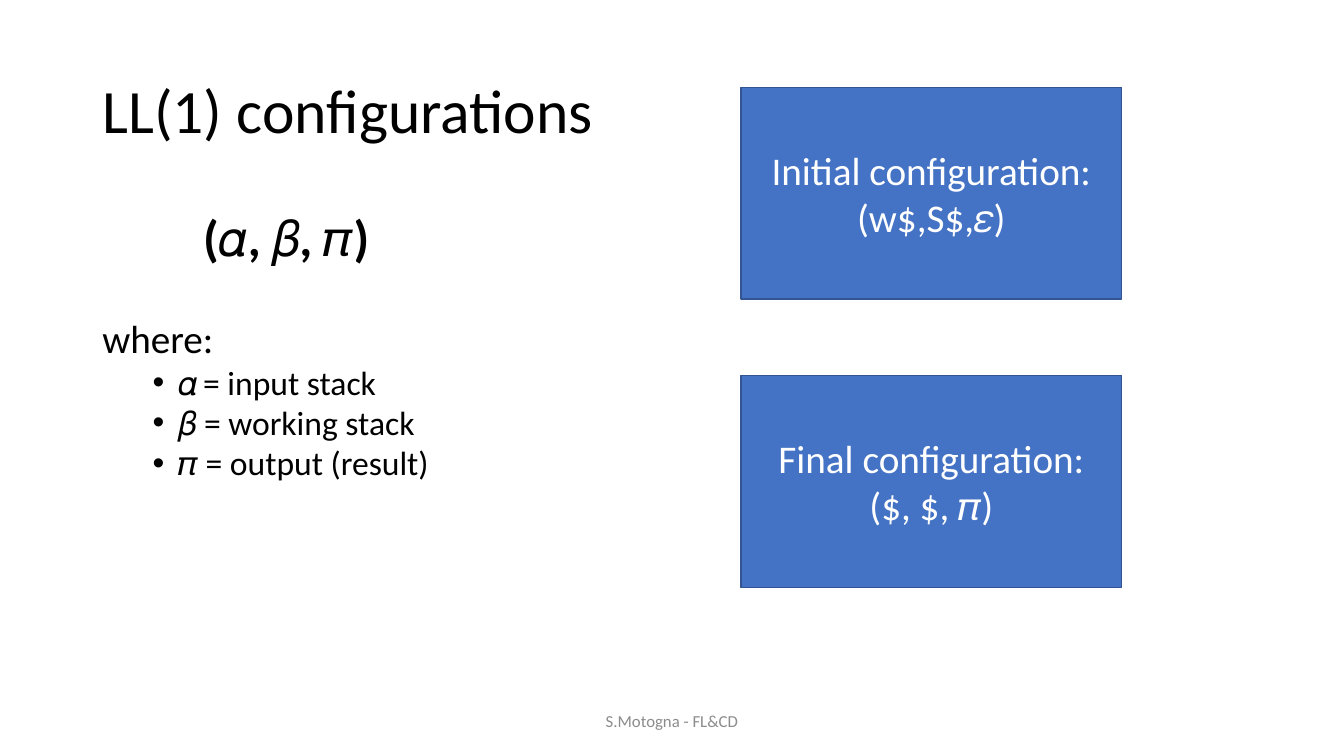
from lxml.etree import SubElement
from pptx import Presentation
from pptx.dml.color import RGBColor
from pptx.enum.shapes import MSO_SHAPE as Shape
from pptx.enum.text import MSO_ANCHOR as Anchor, PP_ALIGN as Align
from pptx.oxml.ns import qn
from pptx.util import Cm, Pt

COLORS = {
    "text": "000000",
    "footer": "8C8C8C",
    "box": "4472C4",
    "box_line": "325491",
    "box_text": "FFFFFF",
}
SLIDE_W, SLIDE_H = 33.87, 19.05
MARGIN, CONTENT_W = 2.33, 29.21


def rgb(name):
    return RGBColor.from_string(COLORS[name])


class SlideBuilder:
    font = "Calibri"

    def __init__(self, prs):
        self.s = prs.slides.add_slide(prs.slide_layouts[6])

    def paragraph(self, tf, text, size, color="text", bold=False, align=Align.LEFT):
        """Fill the empty first paragraph of the frame, or append a new one."""
        first = tf.paragraphs[0]
        p = tf.add_paragraph() if first.runs else first
        p.alignment = align
        r = p.add_run()
        r.text = text
        r.font.name = self.font
        r.font.size = Pt(size)
        r.font.bold = bold
        r.font.color.rgb = rgb(color)
        return p

    def indent(self, p, left, hanging=0, bullet=None):
        pPr = p._p.get_or_add_pPr()
        pPr.set("marL", str(Cm(left)))
        pPr.set("indent", str(-Cm(hanging)))
        if bullet:
            SubElement(pPr, qn("a:buFont"), typeface="Arial")
            SubElement(pPr, qn("a:buChar"), char=bullet)

    def text_frame(self, x, y, w, h, anchor=Anchor.TOP):
        sp = self.s.shapes.add_textbox(Cm(x), Cm(y), Cm(w), Cm(h))
        tf = sp.text_frame
        tf.word_wrap = True
        tf.vertical_anchor = anchor
        return tf

    def box(self, x, y, w, h, lines):
        sp = self.s.shapes.add_shape(Shape.RECTANGLE, Cm(x), Cm(y), Cm(w), Cm(h))
        sp.shadow.inherit = False
        sp.fill.solid()
        sp.fill.fore_color.rgb = rgb("box")
        sp.line.color.rgb = rgb("box_line")
        sp.line.width = Pt(1)
        tf = sp.text_frame
        tf.word_wrap = True
        tf.vertical_anchor = Anchor.MIDDLE
        for line in lines:
            self.paragraph(tf, line, 28, "box_text", align=Align.CENTER)


def main():
    prs = Presentation()
    prs.slide_width, prs.slide_height = Cm(SLIDE_W), Cm(SLIDE_H)
    slide = SlideBuilder(prs)

    title = slide.text_frame(MARGIN, 1.01, CONTENT_W, 3.68, Anchor.MIDDLE)
    slide.paragraph(title, "LL(1) configurations", 44).line_spacing = 0.9

    body = slide.text_frame(MARGIN, 5.08, CONTENT_W, 12.09)
    formula = slide.paragraph(body, "(𝛼, 𝛽, 𝜋)", 36, bold=True)
    slide.indent(formula, 2.54)
    slide.paragraph(body, "where:", 28).space_before = Pt(34)
    for meaning in ("𝛼\t= input stack", "𝛽 = working stack", "𝜋 = output (result)"):
        p = slide.paragraph(body, meaning, 24)
        slide.indent(p, 1.91, 0.64, "•")

    footer_w = 11.43
    footer = slide.text_frame((SLIDE_W - footer_w) / 2, 17.65, footer_w, 1.01,
                              Anchor.MIDDLE)
    slide.paragraph(footer, "S.Motogna - FL&CD", 12, "footer", align=Align.CENTER)

    configurations = [
        ("Initial configuration:", "(w$,S$,𝜀)"),
        ("Final configuration:", "($, $, 𝜋)"),
    ]
    for i, lines in enumerate(configurations):
        slide.box(18.67, 2.21 + 7.26 * i, 9.6, 5.33, lines)

    prs.save("out.pptx")


if __name__ == "__main__":
    main()
